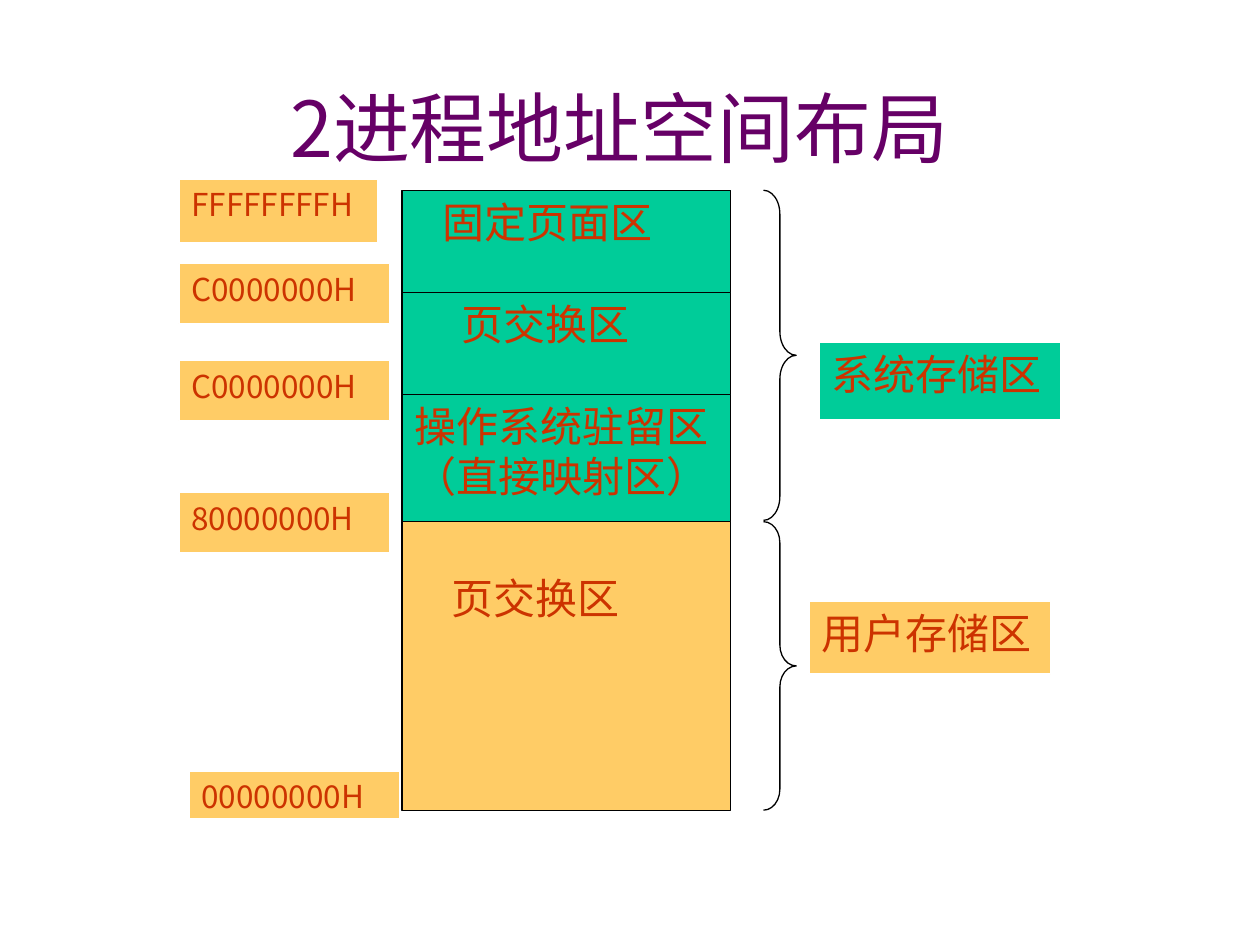
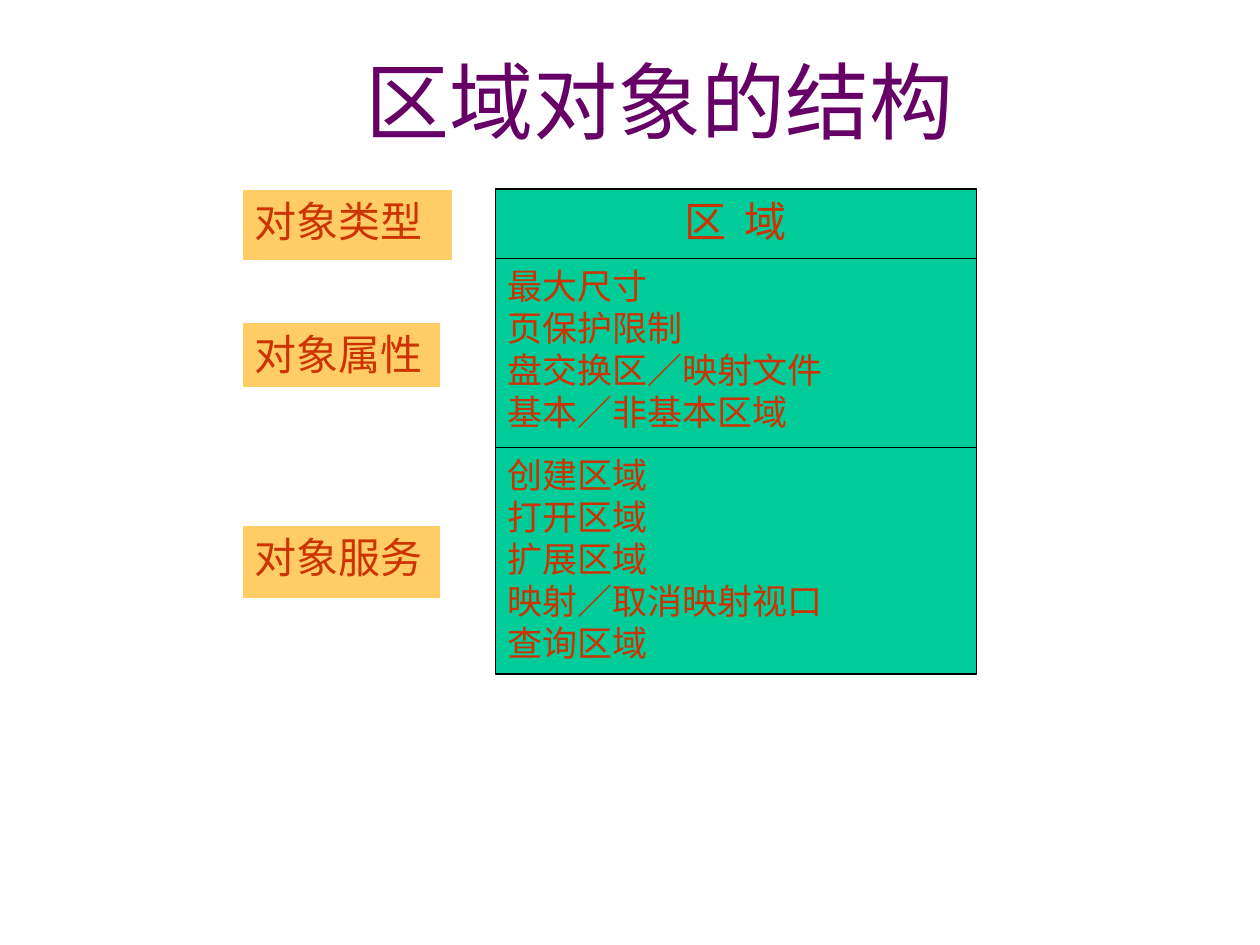
from lxml.etree import SubElement
from pptx import Presentation
from pptx.dml.color import RGBColor
from pptx.enum.shapes import MSO_SHAPE as Shape
from pptx.enum.text import MSO_ANCHOR as Anchor, MSO_AUTO_SIZE as AutoSize, PP_ALIGN as Align
from pptx.oxml.ns import qn
from pptx.util import Emu, Pt

PX = 9144  # 100 px to the inch
FONT = "Noto Sans CJK JP"
COLORS = {
    "title": "660066",
    "text": "CC3300",
    "system": "00CC99",
    "user": "FFCC66",
    "outline": "000000",
    "paper": "FFFFFF",
}
TITLE_ONLY = 5


def px(value):
    return Emu(value * PX)


def color(name):
    return RGBColor.from_string(COLORS[name])


class Deck:
    def __init__(self):
        self.presentation = Presentation()
        self.presentation.slide_width = px(1000)
        self.presentation.slide_height = px(750)
        self.slide = None

    def add_slide(self, title, bounds, size, align):
        layout = self.presentation.slide_layouts[TITLE_ONLY]
        self.slide = self.presentation.slides.add_slide(layout)
        shape = self.slide.shapes.title
        shape.left, shape.top, shape.width, shape.height = map(px, bounds)
        shape.text_frame.auto_size = AutoSize.NONE
        self.set_text(shape, [title], size, "title", align, Anchor.MIDDLE)

    def set_text(self, shape, lines, size, ink="text", align=Align.LEFT, anchor=Anchor.TOP):
        frame = shape.text_frame
        frame.word_wrap = True
        frame.vertical_anchor = anchor
        frame.text = "\n".join(lines)
        for paragraph in frame.paragraphs:
            paragraph.alignment = align
            paragraph.line_spacing = Pt(round(size * 1.2, 1))
            paragraph.space_before = Pt(0)
            font = paragraph.font
            font.size = Pt(size)
            font.bold = False
            font.color.rgb = color(ink)
            font.name = FONT
            properties = paragraph._p.pPr.find(qn("a:defRPr"))
            SubElement(properties, qn("a:ea"), typeface=FONT)

    def shape(self, kind, bounds, line):
        shape = self.slide.shapes.add_shape(kind, *map(px, bounds))
        shape.shadow.inherit = False
        shape.line.color.rgb = color(line)
        shape.line.width = Pt(0.75)
        return shape

    def box(self, bounds, lines, size, fill, line="outline", inset=(10, 5), align=Align.LEFT):
        shape = self.shape(Shape.RECTANGLE, bounds, line)
        shape.fill.solid()
        shape.fill.fore_color.rgb = color(fill)
        frame = shape.text_frame
        frame.margin_left, frame.margin_top = map(px, inset)
        self.set_text(shape, lines, size, align=align)
        return shape

    def label(self, bounds, text, size, fill="user"):
        self.box(bounds, [text], size, fill, line="paper")

    def brace(self, bounds, curve):
        shape = self.shape(Shape.RIGHT_BRACE, bounds, "outline")
        shape.fill.background()
        shape.adjustments[0] = curve
        shape.adjustments[1] = 0.5


def address_space(deck):
    deck.add_slide("2进程地址空间布局", (67, 38, 850, 125), 44, Align.CENTER)

    # Memory regions, from the highest address down
    regions = [
        (151, 232, ["固定页面区"], "system", (32, 5)),
        (232, 313, ["页交换区"], "system", (47, 5)),
        (313, 414, ["操作系统驻留区", "（直接映射区）"], "system", (10, 5)),
        (414, 643, ["页交换区"], "user", (39, 40)),
    ]
    for top, bottom, lines, fill, inset in regions:
        deck.box((319, top, 261, bottom - top), lines, 24, fill, inset=inset)

    # Braces and the areas they span
    deck.brace((606, 151, 26, 262), 0.73)
    deck.label((650, 272, 192, 61), "系统存储区", 24, "system")
    deck.brace((606, 414, 26, 229), 0.64)
    deck.label((642, 477, 192, 58), "用户存储区", 24)

    # Boundary addresses
    addresses = [
        ((142, 142, 158, 51), "FFFFFFFFH"),
        ((142, 209, 167, 48), "C0000000H"),
        ((142, 286, 167, 48), "C0000000H"),
        ((142, 391, 167, 48), "80000000H"),
        ((150, 612, 167, 38), "00000000H"),
    ]
    for bounds, address in addresses:
        deck.label(bounds, address, 18)


def section_object(deck):
    deck.add_slide("区域对象的结构", (280, 34, 570, 90), 48, Align.LEFT)

    # Object card: type, attributes, services
    left, width = 393, 382
    heading = deck.box((left, 150, width, 55), ["区 域"], 24, "system", align=Align.CENTER)
    heading_run = heading.text_frame.paragraphs[0].runs[0]
    heading_run._r.get_or_add_rPr().set("spc", "250")
    attributes = ["最大尺寸", "页保护限制", "盘交换区／映射文件", "基本／非基本区域"]
    services = ["创建区域", "打开区域", "扩展区域", "映射／取消映射视口", "查询区域"]
    deck.box((left, 205, width, 150), attributes, 20, "system")
    deck.box((left, 355, width, 180), services, 20, "system")

    # Row labels
    for top, width, height, text in [
        (150, 167, 57, "对象类型"),
        (256, 158, 52, "对象属性"),
        (417, 158, 58, "对象服务"),
    ]:
        deck.label((192, top, width, height), text, 24)


def main():
    deck = Deck()
    address_space(deck)
    section_object(deck)
    deck.presentation.save("out.pptx")


if __name__ == "__main__":
    main()
